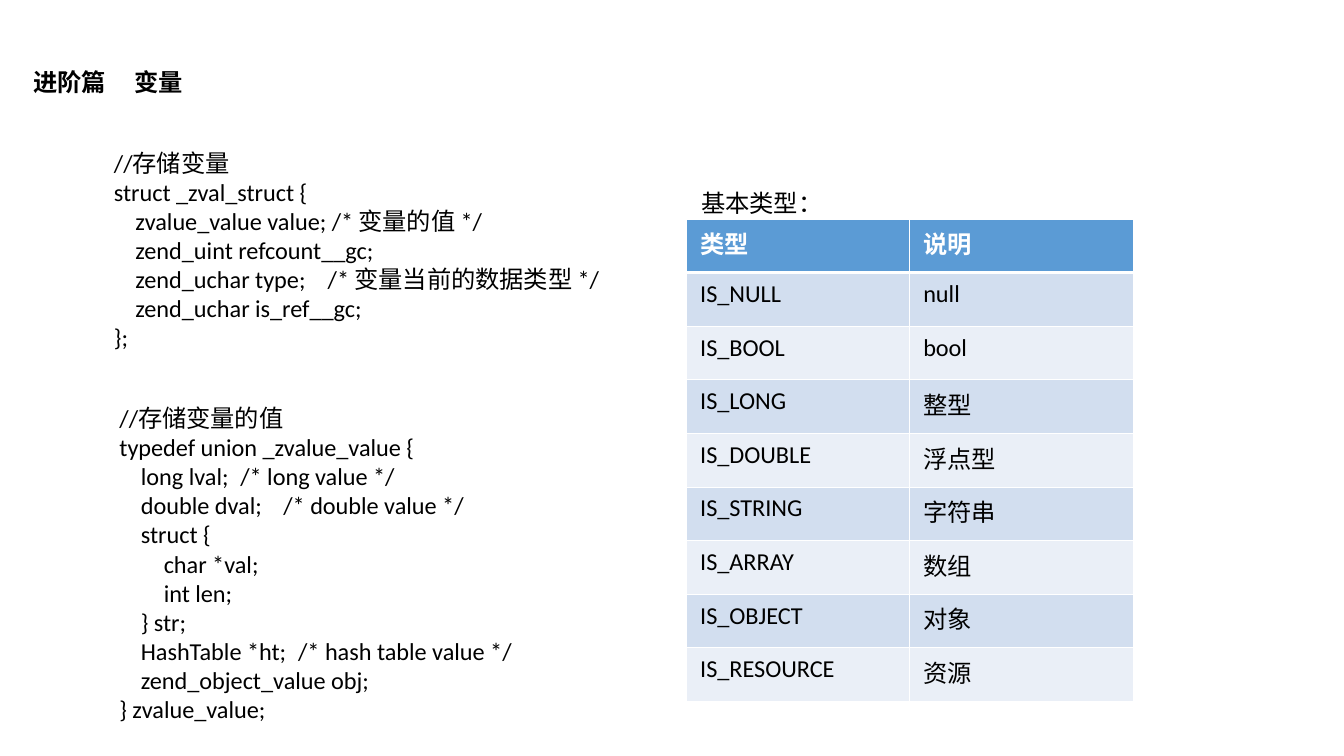
from dataclasses import dataclass

from lxml import etree
from pptx import Presentation
from pptx.dml.color import RGBColor as RGB
from pptx.enum.text import MSO_ANCHOR as Anchor, MSO_AUTO_SIZE as AutoSize, PP_ALIGN as Align
from pptx.oxml.ns import qn
from pptx.util import Inches, Pt


@dataclass(frozen=True)
class Theme:
    latin: str = "Calibri"
    chinese: str = "Noto Sans CJK SC"
    size: float = 13
    ink: str = "000000"
    white: str = "FFFFFF"
    header: str = "5B9BD5"
    bands: tuple = ("D2DEEF", "EAEFF7")
    thin: float = 0.45
    thick: float = 1.47


theme = Theme()


def write_lines(frame, lines, color=theme.ink, bold=False, font=theme.latin, stops=()):
    """Write one paragraph per line, with left tab stops in inches."""
    for i, line in enumerate(lines):
        paragraph = frame.paragraphs[0] if i == 0 else frame.add_paragraph()
        paragraph.alignment = Align.LEFT
        if stops:
            tab_list = etree.SubElement(paragraph._p.get_or_add_pPr(), qn("a:tabLst"))
            for stop in stops:
                etree.SubElement(tab_list, qn("a:tab"), pos=str(Inches(stop)), algn="l")
        run = paragraph.add_run()
        run.text = line
        run.font.name = font
        run.font.size = Pt(theme.size)
        run.font.bold = bold
        run.font.color.rgb = RGB.from_string(color)
        latin = run._r.rPr.find(qn("a:latin"))
        latin.addnext(etree.Element(qn("a:ea"), typeface=theme.chinese))


def place(shape, left, top, width, height):
    """Position a text shape that hugs its unwrapped lines."""
    shape.left, shape.top = Inches(left), Inches(top)
    shape.width, shape.height = Inches(width), Inches(height)
    frame = shape.text_frame
    frame.word_wrap = False
    frame.auto_size = AutoSize.SHAPE_TO_FIT_TEXT
    frame.vertical_anchor = Anchor.TOP
    return frame


# Widescreen slide, 16:9
prs = Presentation()
prs.slide_width = Inches(10)
prs.slide_height = prs.slide_width * 9 // 16
slide = prs.slides.add_slide(prs.slide_layouts[5])

# Title
heading = place(slide.shapes.title, 0.15, 0.45, 1.36, 0.32)
write_lines(heading, ["进阶篇\t变量"], bold=True, font=theme.chinese, stops=[0.75])

# Code listings: tab stops for the indents, then for the trailing comments
listings = [
    ((0.75, 1.05, 3.9, 1.62), [0.16, 1.59], [
        "//存储变量",
        "struct _zval_struct {",
        "\tzvalue_value value; /* 变量的值 */",
        "\tzend_uint refcount__gc;",
        "\tzend_uchar type;\t/* 变量当前的数据类型 */",
        "\tzend_uchar is_ref__gc;",
        "};",
    ]),
    ((0.79, 2.95, 3.12, 2.71), [0.16, 0.33, 0.9, 1.22, 1.33], [
        "//存储变量的值",
        "typedef union _zvalue_value {",
        "\tlong lval;\t/* long value */",
        "\tdouble dval;\t/* double value */",
        "\tstruct {",
        "\t\tchar *val;",
        "\t\tint len;",
        "\t} str;",
        "\tHashTable *ht;\t/* hash table value */",
        "\tzend_object_value obj;",
        "} zvalue_value;",
    ]),
]
for box, stops, code in listings:
    listing = place(slide.shapes.add_textbox(0, 0, 0, 0), *box)
    write_lines(listing, code, stops=stops)

# Table of basic types
basic_types = [
    ("类型", "说明"),
    ("IS_NULL", "null"),
    ("IS_BOOL", "bool"),
    ("IS_LONG", "整型"),
    ("IS_DOUBLE", "浮点型"),
    ("IS_STRING", "字符串"),
    ("IS_ARRAY", "数组"),
    ("IS_OBJECT", "对象"),
    ("IS_RESOURCE", "资源"),
]
type_table = slide.shapes.add_table(
    len(basic_types), 2, Inches(5.11), Inches(1.63), Inches(3.32), Inches(3.59)).table
for r, entry in enumerate(basic_types):
    is_header = r == 0
    for c, word in enumerate(entry):
        cell = type_table.cell(r, c)
        write_lines(cell.text_frame, [word], theme.white if is_header else theme.ink, is_header)

        # White borders, heavier under the header
        cell_props = cell._tc.get_or_add_tcPr()
        for side in "LRTB":
            under_header = (r, side) in ((0, "B"), (1, "T"))
            weight = Pt(theme.thick if under_header else theme.thin)
            border = etree.SubElement(cell_props, qn(f"a:ln{side}"), w=str(weight))
            paint = etree.SubElement(border, qn("a:solidFill"))
            etree.SubElement(paint, qn("a:srgbClr"), val=theme.white)

        cell.fill.solid()
        band = theme.header if is_header else theme.bands[(r - 1) % 2]
        cell.fill.fore_color.rgb = RGB.from_string(band)

# Table caption
caption = place(slide.shapes.add_textbox(0, 0, 0, 0), 5.12, 1.35, 1.1, 0.32)
write_lines(caption, ["基本类型："])

prs.save("out.pptx")
